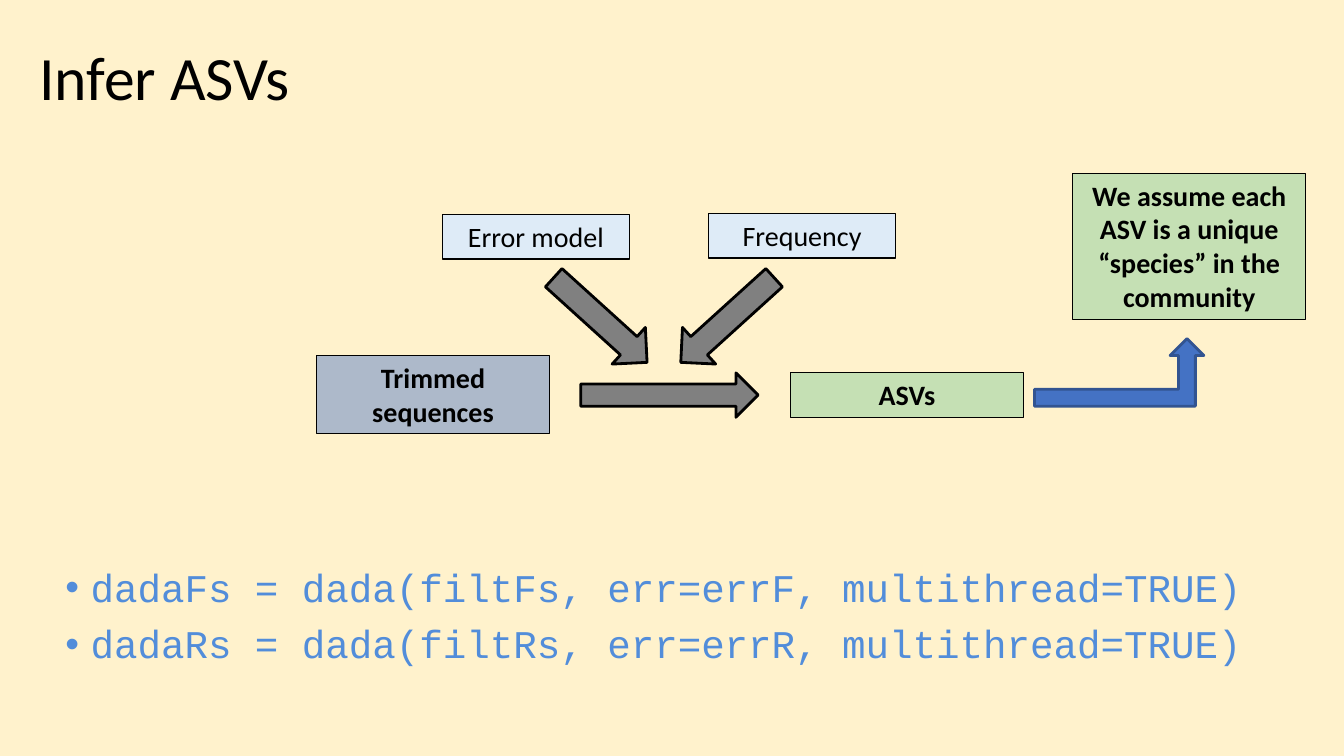
from dataclasses import dataclass

from lxml.etree import SubElement
from pptx import Presentation
from pptx.dml.color import RGBColor
from pptx.enum.shapes import MSO_SHAPE as Preset
from pptx.enum.text import MSO_ANCHOR as Anchor, MSO_AUTO_SIZE as AutoSize, PP_ALIGN as Align
from pptx.oxml.ns import qn
from pptx.util import Inches, Pt


@dataclass(frozen=True)
class Theme:
    background: str = "FFF2CC"
    ink: str = "000000"
    code: str = "528DDA"
    result: str = "C5E0B4"
    reads: str = "ADB9CA"
    factor: str = "DEEBF7"
    step: str = "808080"
    note: str = "4472C4"
    note_edge: str = "325491"
    body_font: str = "Calibri"
    code_font: str = "Courier New"
    title_size: int = 44
    code_size: int = 28
    label_size: int = 20
    box_line: float = 0.75
    arrow_line: float = 2


class SlideBuilder:
    """Draws the elements of one slide in one theme."""

    def __init__(self, prs, theme):
        self.theme = theme
        self.slide = prs.slides.add_slide(prs.slide_layouts[5])
        fill = self.slide.background.fill
        fill.solid()
        fill.fore_color.rgb = RGBColor.from_string(theme.background)

    def style(self, paragraph, font, size, color, bold=False):
        paragraph.font.name = font
        paragraph.font.size = Pt(size)
        paragraph.font.bold = bold
        paragraph.font.color.rgb = RGBColor.from_string(color)

    def title(self, text, left, top, width, height):
        title = self.slide.shapes.title
        title.left, title.top = Inches(left), Inches(top)
        title.width, title.height = Inches(width), Inches(height)
        frame = title.text_frame
        frame.text = text
        frame.auto_size = AutoSize.NONE
        frame.vertical_anchor = Anchor.MIDDLE
        heading = frame.paragraphs[0]
        heading.alignment = Align.LEFT
        heading.line_spacing = 0.9
        self.style(heading, self.theme.body_font, self.theme.title_size, self.theme.ink)

    def shape(self, preset, left, top, width, height, fill, edge, weight):
        shape = self.slide.shapes.add_shape(
            preset, Inches(left), Inches(top), Inches(width), Inches(height))
        shape.shadow.inherit = False
        shape.fill.solid()
        shape.fill.fore_color.rgb = RGBColor.from_string(fill)
        shape.line.color.rgb = RGBColor.from_string(edge)
        shape.line.width = Pt(weight)
        return shape

    def box(self, text, left, top, width, height, fill, bold=True):
        box = self.shape(Preset.RECTANGLE, left, top, width, height, fill,
                         self.theme.ink, self.theme.box_line)
        frame = box.text_frame
        frame.text = text
        frame.word_wrap = True
        frame.auto_size = AutoSize.SHAPE_TO_FIT_TEXT
        frame.vertical_anchor = Anchor.TOP
        label = frame.paragraphs[0]
        label.alignment = Align.CENTER
        self.style(label, self.theme.body_font, self.theme.label_size, self.theme.ink, bold)

    def arrow(self, preset, left, top, width, height, fill, edge, rotation=0):
        arrow = self.shape(preset, left, top, width, height, fill, edge,
                           self.theme.arrow_line)
        arrow.rotation = rotation

    def code_list(self, commands, left, top, width, height):
        frame = self.slide.shapes.add_textbox(
            Inches(left), Inches(top), Inches(width), Inches(height)).text_frame
        frame.word_wrap = True
        frame.text = "\n".join(commands)
        for index, command in enumerate(frame.paragraphs):
            command.line_spacing = 0.9
            if index:
                command.space_before = Pt(10)
            self.bullet(command)
            self.style(command, self.theme.code_font, self.theme.code_size, self.theme.code)

    def bullet(self, paragraph):
        properties = paragraph._p.get_or_add_pPr()
        properties.set("marL", str(Inches(0.25)))
        properties.set("indent", str(Inches(-0.25)))
        color = SubElement(properties, qn("a:buClr"))
        SubElement(color, qn("a:srgbClr"), val=self.theme.code)
        SubElement(properties, qn("a:buFont"), typeface="Arial")
        SubElement(properties, qn("a:buChar"), char="•")


def main():
    prs = Presentation()
    prs.slide_width, prs.slide_height = Inches(13.33), Inches(7.5)
    theme = Theme()
    page = SlideBuilder(prs, theme)

    page.title("Infer ASVs", 0.29, 0.31, 11.5, 0.98)
    page.code_list([f"dada{read}s = dada(filt{read}s, err=err{read}, multithread=TRUE)"
                    for read in "FR"], 0.55, 5.59, 11.95, 1.37)

    page.box("ASVs", 7.84, 3.7, 2.31, 0.44, theme.result)
    page.box("Trimmed sequences", 3.14, 3.53, 2.31, 0.77, theme.reads)
    page.box("Error model", 4.39, 2.13, 1.85, 0.44, theme.factor, bold=False)
    page.box("Frequency", 7.03, 2.12, 1.85, 0.44, theme.factor, bold=False)
    page.box("We assume each ASV is a unique “species” in the community",
             10.64, 1.72, 2.31, 1.45, theme.result)

    page.arrow(Preset.RIGHT_ARROW, 5.76, 3.7, 1.76, 0.44, theme.step, theme.ink)
    for left, rotation in ((5.33, 42.2), (6.59, 180 - 42.2)):
        page.arrow(Preset.RIGHT_ARROW, left, 2.93, 1.25, 0.49, theme.step, theme.ink, rotation)
    page.arrow(Preset.BENT_UP_ARROW, 10.26, 3.36, 1.68, 0.67, theme.note, theme.note_edge)

    prs.save("out.pptx")


if __name__ == "__main__":
    main()
